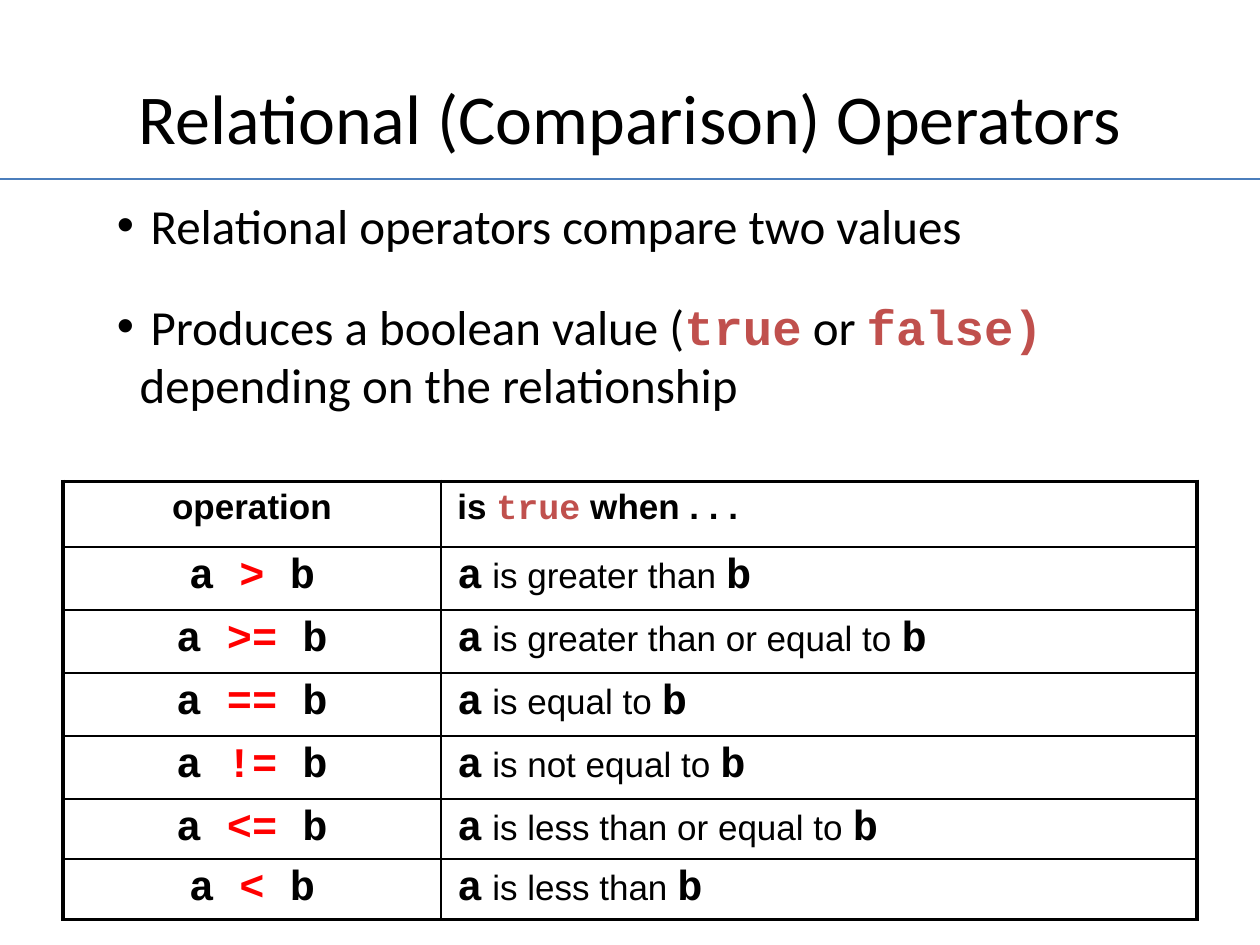
from lxml import etree
from pptx import Presentation
from pptx.dml.color import RGBColor
from pptx.enum.shapes import MSO_CONNECTOR
from pptx.enum.text import MSO_ANCHOR, MSO_AUTO_SIZE, PP_ALIGN
from pptx.oxml.ns import qn
from pptx.util import Inches, Pt

CENTER, LEFT = PP_ALIGN.CENTER, PP_ALIGN.LEFT
MIDDLE = MSO_ANCHOR.MIDDLE
GROW = MSO_AUTO_SIZE.SHAPE_TO_FIT_TEXT
STRAIGHT = MSO_CONNECTOR.STRAIGHT

BLACK, RED, BRICK, RULE_BLUE = "000000", "FF0000", "C0504D", "4B7EBC"
SANS, BODY, CODE = "Arial", "Calibri", "Courier New"
THIN, THICK = 1, 2.25

SLIDE_WIDTH, SLIDE_HEIGHT = 10, 7.5
MARGIN = SLIDE_WIDTH / 20
CONTENT_WIDTH = SLIDE_WIDTH - 2 * MARGIN
TITLE_BOX = (MARGIN, 0.3, CONTENT_WIDTH, 1.25)
BULLET_BOX = (0.83, 1.5, 8.5, 1.84)
TABLE_BOX = (MARGIN, 3.82, CONTENT_WIDTH, 3.52)
RULE_TOP = 1.42
COLUMN_SHARES = (1 / 3, 2 / 3)
ROW_HEIGHTS = (0.52, 0.5, 0.5, 0.5, 0.5, 0.42, 0.42)

# Each operator with its meaning
OPERATORS = [
    (">", "greater than"),
    (">=", "greater than or equal to"),
    ("==", "equal to"),
    ("!=", "not equal to"),
    ("<=", "less than or equal to"),
    ("<", "less than"),
]


def color(value):
    return RGBColor.from_string(value)


def inches(box):
    return [Inches(length) for length in box]


def style_font(font, size, name, hex_color=BLACK, bold=False):
    font.size, font.name, font.bold = Pt(size), name, bold
    font.color.rgb = color(hex_color)


def add_runs(paragraph, runs):
    """Each run is (text, size, font name, colour, bold)."""
    for text, *style in runs:
        run = paragraph.add_run()
        run.text = text
        style_font(run.font, *style)


def add_rule(slide, top):
    rule = slide.shapes.add_connector(
        STRAIGHT, 0, Inches(top), Inches(SLIDE_WIDTH), Inches(top))
    rule.line.color.rgb = color(RULE_BLUE)
    rule.line.width = Pt(0.75)
    etree.SubElement(rule._element.spPr, qn("a:effectLst"))


def add_title(slide, box):
    title = slide.shapes.title
    title.left, title.top, title.width, title.height = inches(box)
    title.text_frame.text = "Relational (Comparison) Operators"
    title.text_frame.vertical_anchor = MIDDLE
    paragraph = title.text_frame.paragraphs[0]
    paragraph.alignment = CENTER
    style_font(paragraph.font, 40, BODY)


def set_bullet(paragraph, indent):
    properties = paragraph._p.get_or_add_pPr()
    properties.set("marL", str(Inches(indent)))
    properties.set("indent", str(-Inches(indent)))
    font = etree.SubElement(properties, qn("a:buFont"))
    font.set("typeface", SANS)
    etree.SubElement(properties, qn("a:buChar")).set("char", "•")


def add_bullets(slide, box):
    plain = (28, BODY)
    keyword = (28, CODE, BRICK, True)
    bullets = [
        [(" Relational operators compare two values", *plain)],
        [(" Produces a boolean value (", *plain), ("true", *keyword),
         (" or ", *plain), ("false)", *keyword),
         (" depending on the relationship", *plain)],
    ]
    frame = slide.shapes.add_textbox(*inches(box)).text_frame
    frame.word_wrap = True
    frame.auto_size = GROW
    for index, runs in enumerate(bullets):
        paragraph = frame.add_paragraph() if index else frame.paragraphs[0]
        paragraph.space_before = Pt(24 if index else 0)
        set_bullet(paragraph, 0.18)
        add_runs(paragraph, runs)


def set_borders(cell, widths):
    """Widths are given for the left, right, top and bottom edges."""
    properties = cell._tc.get_or_add_tcPr()
    for index, (side, width) in enumerate(zip("LRTB", widths)):
        line = etree.Element(qn(f"a:ln{side}"), w=str(Pt(width)))
        fill = etree.SubElement(line, qn("a:solidFill"))
        etree.SubElement(fill, qn("a:srgbClr")).set("val", BLACK)
        properties.insert(index, line)


def table_rows():
    """Yield the runs of both cells, row by row."""
    heading = (20, SANS, BLACK, True)
    operand = (24, CODE, BLACK, True)
    yield ([("operation", *heading)],
           [("is ", *heading), ("true", 20, CODE, BRICK, True),
            (" when . . .", *heading)])
    for operator, meaning in OPERATORS:
        yield ([("a ", *operand), (operator, 24, CODE, RED, True),
                (" b", *operand)],
               [("a", *operand), (f" is {meaning} ", 20, SANS),
                ("b", *operand)])


def add_operator_table(slide, box):
    last_row, last_column = len(ROW_HEIGHTS) - 1, len(COLUMN_SHARES) - 1
    table = slide.shapes.add_table(
        last_row + 1, last_column + 1, *inches(box)).table
    table.first_row = table.horz_banding = False
    for column, share in zip(table.columns, COLUMN_SHARES):
        column.width = Inches(box[2] * share)
    for row, height in zip(table.rows, ROW_HEIGHTS):
        row.height = Inches(height)

    for row, cells in enumerate(table_rows()):
        for column, runs in enumerate(cells):
            cell = table.cell(row, column)
            cell.margin_left = cell.margin_right = Inches(0.13)
            cell.margin_top = cell.margin_bottom = Inches(0.05)
            cell.fill.background()
            paragraph = cell.text_frame.paragraphs[0]
            paragraph.alignment = LEFT if column else CENTER
            add_runs(paragraph, runs)
            # Thick frame outside, thin grid inside
            outer = (column == 0, column == last_column,
                     row == 0, row == last_row)
            set_borders(cell, [THICK if edge else THIN for edge in outer])


def main():
    presentation = Presentation()
    presentation.slide_width = Inches(SLIDE_WIDTH)
    presentation.slide_height = Inches(SLIDE_HEIGHT)
    title_only = presentation.slide_layouts[5]
    slide = presentation.slides.add_slide(title_only)

    add_rule(slide, RULE_TOP)
    add_title(slide, TITLE_BOX)
    add_operator_table(slide, TABLE_BOX)
    add_bullets(slide, BULLET_BOX)
    presentation.save("out.pptx")


if __name__ == "__main__":
    main()
